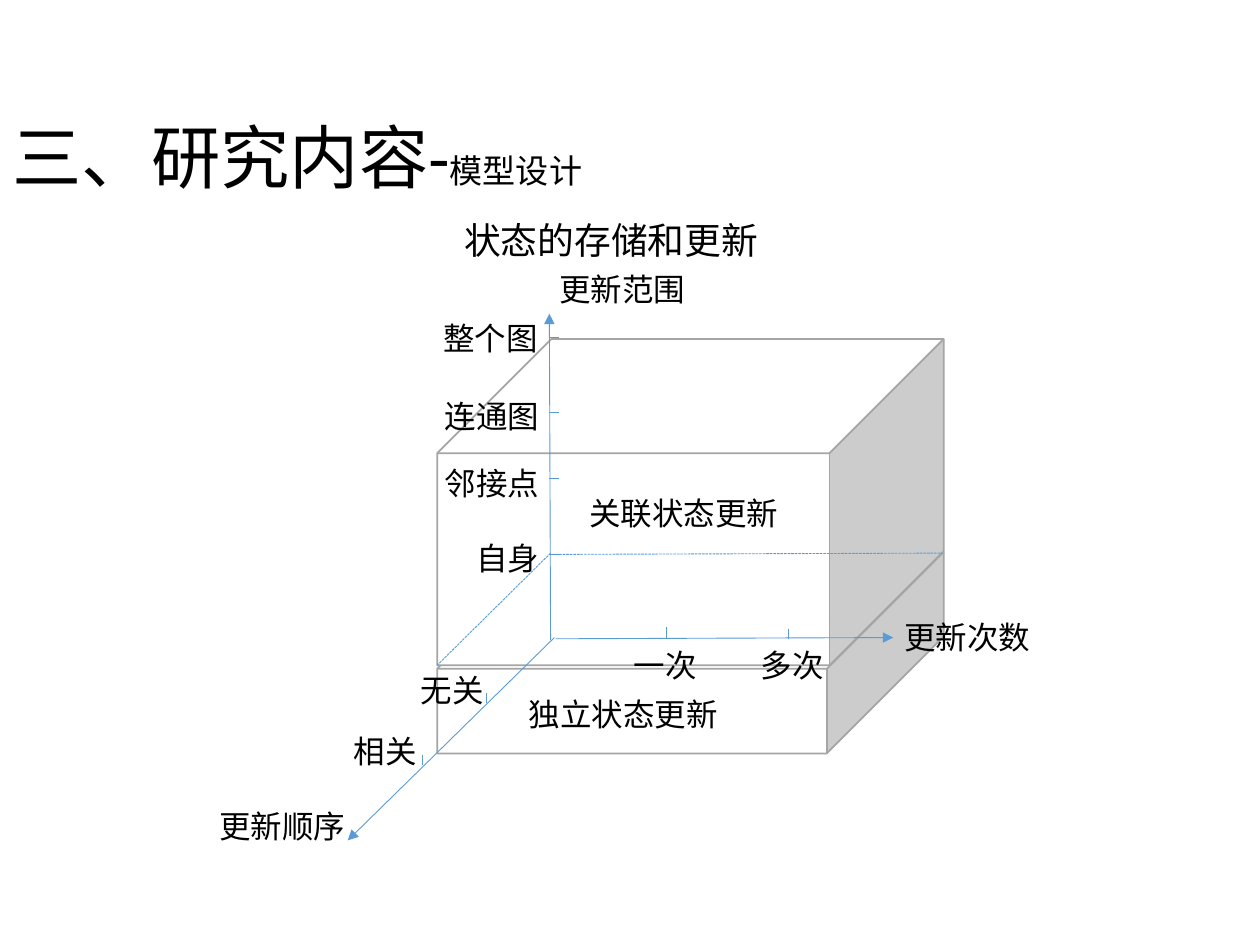
from dataclasses import dataclass

from lxml import etree
from pptx import Presentation
from pptx import util as u
from pptx.dml.color import RGBColor
from pptx.enum import dml, shapes, text
from pptx.oxml.ns import qn

COLUMNS, ROWS = 100, 75
CELL = u.Inches(0.1)
LABEL_ROWS = 4


@dataclass(frozen=True)
class Theme:
    font: str = "Calibri"
    ink: RGBColor = RGBColor(0, 0, 0)
    paper: RGBColor = RGBColor(255, 255, 255)
    edge: RGBColor = RGBColor(0xA5, 0xA5, 0xA5)
    axis: RGBColor = RGBColor(0x5B, 0x9B, 0xD5)
    title: float = 39.6
    subtitle: float = 18.9
    heading: float = 21
    label: float = 18
    edge_width: float = 1
    axis_width: float = 0.5


THEME = Theme()


def cells(*counts):
    return [round(count * CELL) for count in counts]


def add_span(para, words, size):
    span = para.add_run()
    span.text = words
    span.font.name = THEME.font
    span.font.size = u.Pt(size)
    span.font.color.rgb = THEME.ink


def add_title(page, words, detail):
    title = page.shapes.title
    title.left, title.top, title.width, title.height = cells(0, 9.2, 86.2, 7.1)
    frame = title.text_frame
    frame.auto_size = text.MSO_AUTO_SIZE.NONE
    frame.vertical_anchor = text.MSO_ANCHOR.MIDDLE
    para = frame.paragraphs[0]
    para.alignment = text.PP_ALIGN.LEFT
    para.line_spacing = 0.9
    add_span(para, words, THEME.title)
    add_span(para, detail, THEME.subtitle)


def add_label(parent, words, left, top, width, height=LABEL_ROWS, size=THEME.label):
    box = parent.add_textbox(*cells(left, top, width, height))
    box.text_frame.word_wrap = True
    box.text_frame.auto_size = text.MSO_AUTO_SIZE.SHAPE_TO_FIT_TEXT
    add_span(box.text_frame.paragraphs[0], words, size)
    return box


def add_heading(page, words):
    box = add_label(page.shapes, words, 33.5, 16.8, 27.8, 4.5, THEME.heading)
    box.text_frame.word_wrap = False
    para = box.text_frame.paragraphs[0]
    para.alignment = text.PP_ALIGN.CENTER
    para._p.get_or_add_pPr().set("indent", str(u.Inches(0.22)))


def add_cube(page, left, top, width, height, depth):
    """Depth is the share of the height that the slanted faces take."""
    cube = page.shapes.add_shape(
        shapes.MSO_SHAPE.CUBE, *cells(left, top, width, height))
    cube.adjustments[0] = depth
    cube.shadow.inherit = False
    cube.fill.solid()
    cube.fill.fore_color.rgb = THEME.paper
    cube.line.color.rgb = THEME.edge
    cube.line.width = u.Pt(THEME.edge_width)


def add_line(parent, start, end, dashed=False, arrow=False):
    line = parent.add_connector(
        shapes.MSO_CONNECTOR.STRAIGHT, *cells(*start, *end))
    line.line.color.rgb = THEME.axis
    line.line.width = u.Pt(THEME.axis_width)
    if dashed:
        line.line.dash_style = dml.MSO_LINE.SQUARE_DOT
    if arrow:
        etree.SubElement(line.line._get_or_add_ln(), qn("a:tailEnd"), type="triangle")
    etree.SubElement(line._element.spPr, qn("a:effectLst"))


def add_axis(page, start, end, name, ticks, tick_step, labels):
    """Group an arrow, its name, its tick marks and their labels."""
    axis = page.shapes.add_group_shape().shapes
    add_line(axis, start, end, arrow=True)
    add_label(axis, *name)
    across, down = tick_step
    for left, top in ticks:
        add_line(axis, (left, top), (left + across, top + down))
    for label in labels:
        add_label(axis, *label)


def main():
    deck = Presentation()
    deck.slide_width, deck.slide_height = cells(COLUMNS, ROWS)
    page = deck.slides.add_slide(deck.slide_layouts.get_by_name("Title Only"))

    add_cube(page, 34.7, 43.8, 40.2, 16, 0.58)
    add_cube(page, 34.7, 26.9, 40.2, 25.9, 0.35)
    add_title(page, "三、研究内容-", "模型设计")
    add_heading(page, "状态的存储和更新")

    add_axis(page, (44.1, 50.7), (70.9, 50.6), ("更新次数", 70.8, 48.6, 14.1),
             [(52.9, 49.8), (62.6, 49.9)], (0, 0.8),
             [("一次", 49.3, 50.8, 7.2), ("多次", 59.4, 50.8, 7.2)])
    add_axis(page, (44, 50.6), (27.6, 66.7), ("更新顺序", 16.4, 63.6, 14.2),
             [(38.6, 55), (33.5, 59.9)], (0, 0.8),
             [("无关", 32.4, 52.8, 9.5), ("相关", 27.1, 57.6, 9.5)])
    add_axis(page, (43.7, 50.8), (43.6, 24.9), ("更新范围", 43.4, 20.9, 12.7),
             [(43.6, top) for top in (44, 38, 32.7, 26.8)], (0.8, 0),
             [("自身", 36.8, 42.3, 7.3), ("邻接点", 34.3, 36.3, 9.5),
              ("连通图", 34.3, 31, 9.5), ("整个图", 34.2, 24.8, 9.5)])

    add_label(page.shapes, "独立状态更新", 41, 54.7, 21)
    add_label(page.shapes, "关联状态更新", 45.8, 38.7, 18)
    for start, end in [((43.7, 43.9), (34.7, 52.8)), ((43.8, 44), (74.8, 43.9))]:
        add_line(page.shapes, start, end, dashed=True)

    deck.save("out.pptx")


if __name__ == "__main__":
    main()
